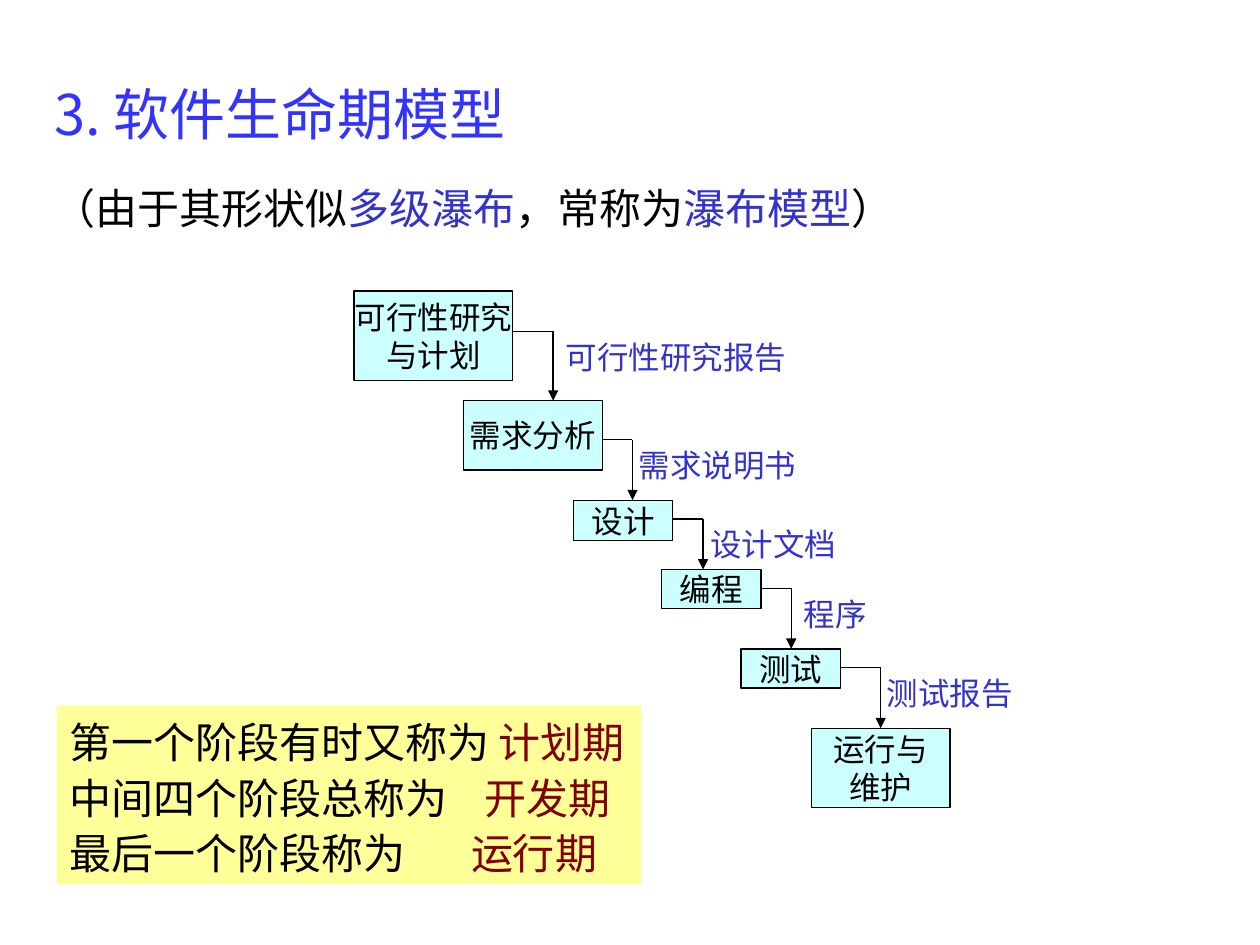
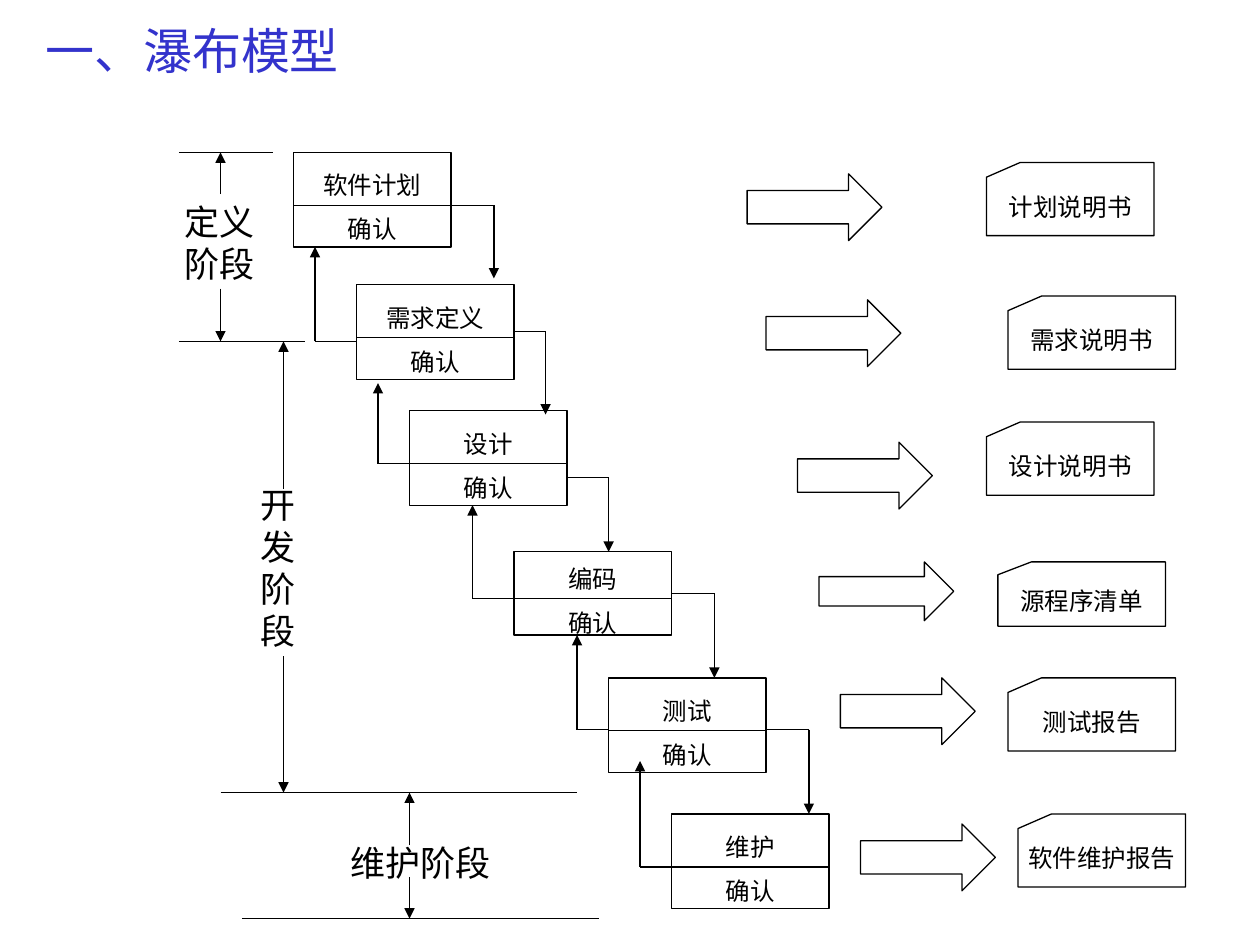
from collections import namedtuple

from lxml.etree import SubElement
from pptx import Presentation
from pptx.dml.color import RGBColor
from pptx.enum.shapes import MSO_CONNECTOR, MSO_SHAPE
from pptx.enum.text import MSO_ANCHOR, MSO_AUTO_SIZE, PP_ALIGN
from pptx.oxml.ns import qn
from pptx.util import Inches, Pt

SANS = "Noto Sans CJK SC"
SERIF = "Times New Roman"
BLACK = "000000"
BLUE = "3333CC"
TITLE_BLUE = "3333FF"
MAROON = "800000"
PALE_CYAN = "CCFFFF"
PALE_YELLOW = "FFFF99"
LINE_WIDTH = 0.75

Step = namedtuple("Step", "text left top width height output output_left output_top turn")
Stage = namedtuple("Stage", "name left top scale arrow_left arrow_drop card card_left card_drop "
                            "forward feedback")

STEPS = [
    Step("可行性研究\n与计划", 0, 0, 1.26, 0.71, "可行性研究报告", 1.58, 0.32, 0.32),
    Step("需求分析", 0.87, 0.87, 1.1, 0.55, "需求说明书", 2.16, 1.18, 0.24),
    Step("设计", 1.74, 1.66, 0.79, 0.32, "设计文档", 2.73, 1.81, 0.24),
    Step("编程", 2.44, 2.21, 0.79, 0.31, "程序", 3.47, 2.36, 0.24),
    Step("测试", 3.07, 2.84, 0.79, 0.31, "测试报告", 4.13, 2.99, 0.32),
    Step("运行与\n维护", 3.63, 3.47, 1.1, 0.63, None, None, None, None),
]

STAGES = [
    Stage("软件计划", 2.33, 1.21, 1, 5.93, 0.17, "计划说明书", 7.83, 0.08,
          (0.42, 0.34, 0.58), None),
    Stage("需求定义", 2.83, 2.26, 1, 6.08, 0.12, "需求说明书", 8, 0.09,
          (0.37, 0.25, 0.66), (0.45, 0.33, 0.75)),
    Stage("设计", 3.25, 3.26, 1, 6.33, 0.25, "设计说明书", 7.83, 0.09,
          (0.53, 0.33, 0.59), (0.42, 0.25, 0.64)),
    Stage("编码", 4.08, 4.38, 0.88, 6.5, 0.08, "源程序清单", 7.92, 0.08,
          (0.33, 0.34, 0.67), (0.37, 0.33, 0.74)),
    Stage("测试", 4.83, 5.38, 1, 6.67, 0, "测试报告", 8, 0,
          (0.41, 0.34, 0.67), (0.41, 0.25, 0.75)),
    Stage("维护", 5.33, 6.46, 1, 6.83, 0.08, "软件维护报告", 8.08, 0,
          None, (0.42, 0.25, 0.84)),
]


def color(hex_string):
    return RGBColor.from_string(hex_string)


def box_lengths(*lengths):
    return [Inches(length) for length in lengths]


def format_run(run, size, hex_string, font):
    run.font.size = Pt(size)
    run.font.color.rgb = color(hex_string)
    run.font.name = font
    SubElement(run.font._element, qn("a:ea")).set("typeface", SANS)


def format_text(text_frame, size, hex_string=BLACK, font=SANS, align=PP_ALIGN.LEFT, spacing=None):
    for paragraph in text_frame.paragraphs:
        paragraph.alignment = align
        paragraph.line_spacing = spacing
        for run in paragraph.runs:
            format_run(run, size, hex_string, font)


def add_colored_runs(paragraph, parts, size, spacing):
    paragraph.line_spacing = spacing
    paragraph.alignment = PP_ALIGN.LEFT
    for text, hex_string in parts:
        run = paragraph.add_run()
        run.text = text
        format_run(run, size, hex_string, SANS)


def add_tab_stop(paragraph, position):
    tabs = SubElement(paragraph._p.get_or_add_pPr(), qn("a:tabLst"))
    tab = SubElement(tabs, qn("a:tab"))
    tab.set("pos", str(Inches(position)))
    tab.set("algn", "l")


def add_title(slide, text, left, top, width, height, size, hex_string):
    title = slide.shapes.title
    title.left, title.top, title.width, title.height = box_lengths(left, top, width, height)
    text_frame = title.text_frame
    text_frame.text = text
    text_frame.auto_size = MSO_AUTO_SIZE.NONE
    text_frame.vertical_anchor = MSO_ANCHOR.TOP
    format_text(text_frame, size, hex_string)


def add_text(slide, text, left, top, width, height, wrap, size, **style):
    text_box = slide.shapes.add_textbox(*box_lengths(left, top, width, height))
    text_box.text_frame.word_wrap = wrap
    text_box.text_frame.text = text
    format_text(text_box.text_frame, size, **style)
    return text_box


def add_outlined(slide, kind, left, top, width, height, fill=None):
    shape = slide.shapes.add_shape(kind, *box_lengths(left, top, width, height))
    shape.shadow.inherit = False
    if fill:
        shape.fill.solid()
        shape.fill.fore_color.rgb = color(fill)
    else:
        shape.fill.background()
    shape.line.color.rgb = color(BLACK)
    shape.line.width = Pt(LINE_WIDTH)
    return shape


def add_centered(shape, text, size, font, spacing=None):
    text_frame = shape.text_frame
    text_frame.word_wrap = False
    text_frame.vertical_anchor = MSO_ANCHOR.MIDDLE
    text_frame.text = text
    format_text(text_frame, size, font=font, align=PP_ALIGN.CENTER, spacing=spacing)


def add_line(slide, x1, y1, x2, y2, arrow=False):
    connector = slide.shapes.add_connector(MSO_CONNECTOR.STRAIGHT, *box_lengths(x1, y1, x2, y2))
    connector.line.color.rgb = color(BLACK)
    connector.line.width = Pt(LINE_WIDTH)
    if arrow:
        SubElement(connector.line._get_or_add_ln(), qn("a:tailEnd")).set("type", "triangle")
    SubElement(connector._element.spPr, qn("a:effectLst"))


def add_elbow(slide, x, y, turn, rise):
    add_line(slide, x, y, x + turn, y)
    add_line(slide, x + turn, y, x + turn, y + rise, arrow=True)


def add_steps(slide, left, top):
    for step, following in zip(STEPS, STEPS[1:] + [None]):
        x, y = left + step.left, top + step.top
        box = add_outlined(slide, MSO_SHAPE.RECTANGLE, x, y, step.width, step.height, PALE_CYAN)
        add_centered(box, step.text, 18, SANS)
        if following:
            start = top + step.output_top
            add_elbow(slide, x + step.width, start, step.turn, top + following.top - start)
            width = len(step.output) * 0.25 + 0.2
            add_text(slide, step.output, left + step.output_left, start, width, 0.4,
                     False, 18, hex_string=BLUE)


def add_period_note(slide, left, top, width, height):
    note = slide.shapes.add_textbox(*box_lengths(left, top, width, height))
    note.fill.solid()
    note.fill.fore_color.rgb = color(PALE_YELLOW)
    text_frame = note.text_frame
    text_frame.word_wrap = True
    rows = [
        ("第一个阶段有时又称为", "计划期", 3.41),
        ("中间四个阶段总称为", "开发期", 3.3),
        ("最后一个阶段称为", "运行期", 3.19),
    ]
    for index, (phrase, period, position) in enumerate(rows):
        paragraph = text_frame.add_paragraph() if index else text_frame.paragraphs[0]
        add_colored_runs(paragraph, [(phrase + "\t", BLACK), (period, MAROON)], 24, 1.1)
        add_tab_stop(paragraph, position)


def add_stage(slide, stage, left, top):
    divider = top + 0.42 * stage.scale
    box = add_outlined(slide, MSO_SHAPE.RECTANGLE, left, top, 1.25, 0.75 * stage.scale)
    add_centered(box, stage.name + "\n确认", 14, SERIF, 1.5)
    add_line(slide, left, divider, left + 1.25, divider)
    if stage.forward:
        start, turn, drop = stage.forward
        add_elbow(slide, left + 1.25, top + start, turn, drop)
    if stage.feedback:
        start, turn, rise = stage.feedback
        add_elbow(slide, left, top + start, -turn, -rise)
    add_outlined(slide, MSO_SHAPE.RIGHT_ARROW, stage.arrow_left, top + stage.arrow_drop,
                 1.07, 0.53 * stage.scale)
    card = add_outlined(slide, MSO_SHAPE.FLOWCHART_CARD, stage.card_left, top + stage.card_drop,
                        1.33, 0.58 * stage.scale)
    add_centered(card, stage.card, 14, SERIF)


def add_phase(slide, label, left, top, width, height, axis, upper, lower):
    add_text(slide, label, left, top, width, height, True, 20,
             font=SERIF, align=PP_ALIGN.CENTER)
    for start, end in (upper, lower):
        add_line(slide, axis, start, axis, end, arrow=True)


def build_life_cycle_slide(presentation):
    slide = presentation.slides.add_slide(presentation.slide_layouts[5])
    add_title(slide, "3. 软件生命期模型", 0.33, 0.58, 9.47, 0.65, 32, TITLE_BLUE)
    subtitle = add_text(slide, "", 0.33, 1.28, 9.47, 0.65, True, 24)
    parts = [("（由于其形状似", BLACK), ("多级瀑布", BLUE), ("，常称为", BLACK),
             ("瀑布模型", BLUE), ("）", BLACK)]
    add_colored_runs(subtitle.text_frame.paragraphs[0], parts, 24, 1.3)
    add_steps(slide, 2.81, 2.31)
    add_period_note(slide, 0.45, 5.6, 4.64, 1.42)


def build_waterfall_slide(presentation):
    slide = presentation.slides.add_slide(presentation.slide_layouts[5])
    add_title(slide, "一、瀑布模型", 0.26, 0.11, 2.7, 0.57, 28, BLUE)
    for stage in STAGES:
        add_stage(slide, stage, stage.left, stage.top)
    for left, right, y in [(1.42, 2.17, 1.21), (1.42, 2.42, 2.71),
                           (1.75, 4.58, 6.29), (1.92, 4.75, 7.29)]:
        add_line(slide, left, y, right, y)
    add_phase(slide, "定义阶段", 1.33, 1.54, 0.83, 0.67, 1.75, (1.54, 1.21), (2.29, 2.71))
    add_phase(slide, "开发阶段", 1.83, 3.79, 0.75, 1.42, 2.25, (3.88, 2.71), (5.21, 6.29))
    add_phase(slide, "维护阶段", 2.5, 6.63, 1.67, 0.42, 3.25, (6.71, 6.29), (6.96, 7.29))


def main():
    presentation = Presentation()
    presentation.slide_width = Inches(10)
    presentation.slide_height = Inches(7.5)
    build_life_cycle_slide(presentation)
    build_waterfall_slide(presentation)
    presentation.save("out.pptx")


if __name__ == "__main__":
    main()
